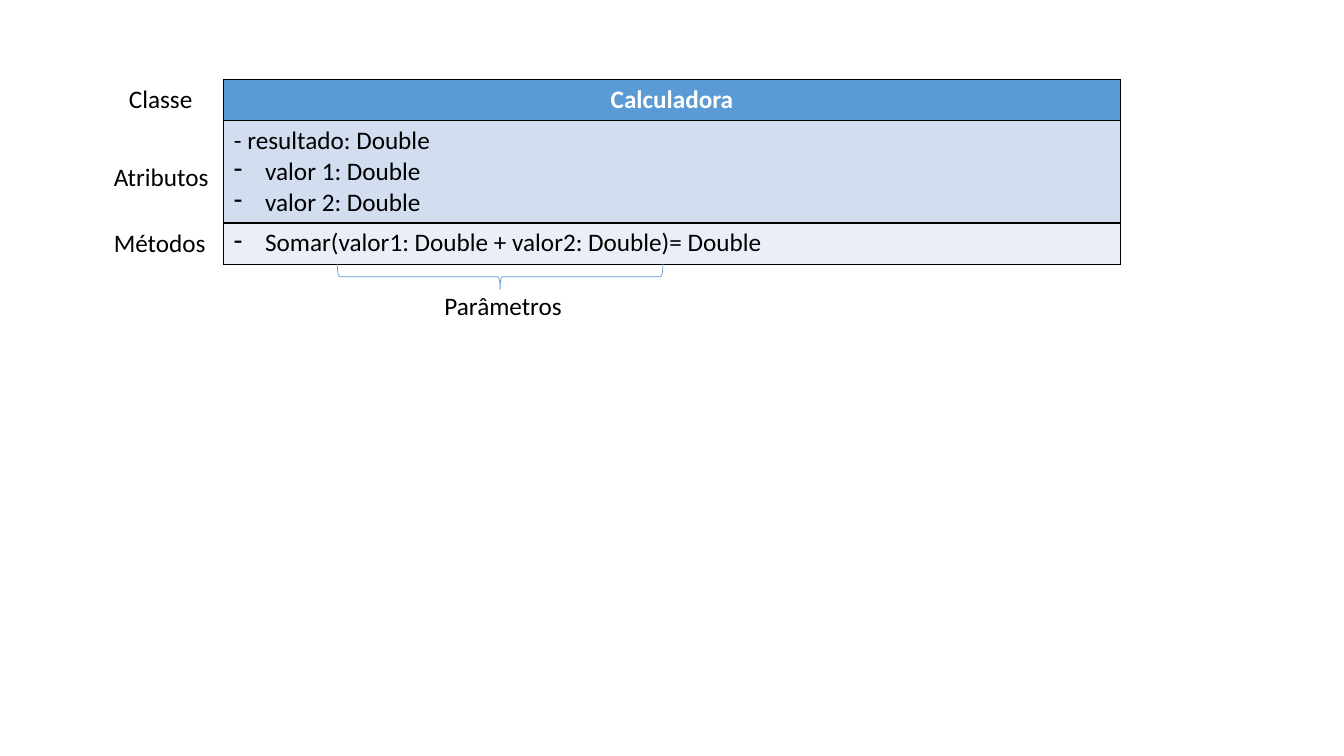
import pptx
import pptx.dml.color
import pptx.enum.shapes
import pptx.enum.text
import pptx.oxml
import pptx.oxml.ns
import pptx.util
from pptx.util import Inches

BLACK = pptx.dml.color.RGBColor(0x00, 0x00, 0x00)
WHITE = pptx.dml.color.RGBColor(0xFF, 0xFF, 0xFF)
BLUE = pptx.dml.color.RGBColor(0x5B, 0x9B, 0xD5)
LIGHT_BLUE = pptx.dml.color.RGBColor(0xD2, 0xDE, 0xEF)
PALE_BLUE = pptx.dml.color.RGBColor(0xEA, 0xEF, 0xF7)

TITLE = "Calculadora"
ATTRIBUTES = [("- resultado: Double", False), ("valor 1: Double", True), ("valor 2: Double", True)]
METHODS = [("Somar(valor1: Double + valor2: Double)= Double", True)]
LABELS = [
    ("Parâmetros", 4.31, 2.83, 1.38),
    ("Métodos", 1.03, 2.21, 1.12),
    ("Atributos ", 1.03, 1.55, 1.21),
    ("Classe ", 1.18, 0.78, 0.9),
]


def add_run(paragraph, text, color=BLACK, bold=False):
    run = paragraph.add_run()
    run.text = text
    run.font.name = "Calibri"
    run.font.size = pptx.util.Pt(18)
    run.font.bold = bold
    run.font.color.rgb = color


def add_dash(paragraph):
    properties = paragraph._p.get_or_add_pPr()
    properties.set("marL", str(Inches(0.31)))
    properties.set("indent", str(Inches(-0.31)))
    bullet = pptx.oxml.parse_xml(f'<a:buChar {pptx.oxml.ns.nsdecls("a")} char="-"/>')
    properties.append(bullet)


def style_cell(cell, color):
    cell.fill.solid()
    cell.fill.fore_color.rgb = color
    properties = cell._tc.get_or_add_tcPr()
    for index, side in enumerate("LRTB"):
        border = pptx.oxml.parse_xml(
            f'<a:ln{side} {pptx.oxml.ns.nsdecls("a")} w="{pptx.util.Pt(1)}">'
            f'<a:solidFill><a:srgbClr val="{BLACK}"/></a:solidFill></a:ln{side}>'
        )
        properties.insert(index, border)


def fill_members(cell, members):
    for index, (text, dashed) in enumerate(members):
        frame = cell.text_frame
        paragraph = frame.add_paragraph() if index else frame.paragraphs[0]
        if dashed:
            add_dash(paragraph)
        add_run(paragraph, text)


def add_class_table(slide):
    frame = slide.shapes.add_table(3, 1, Inches(2.22), Inches(0.79), Inches(8.89), Inches(1.82))
    table = frame.table
    for row, height in zip(table.rows, (0.4, 1.01, 0.41)):
        row.height = Inches(height)
    header, attributes, methods = (row.cells[0] for row in table.rows)
    for cell, color in ((header, BLUE), (attributes, LIGHT_BLUE), (methods, PALE_BLUE)):
        style_cell(cell, color)
    paragraph = header.text_frame.paragraphs[0]
    paragraph.alignment = pptx.enum.text.PP_ALIGN.CENTER
    add_run(paragraph, TITLE, WHITE, True)
    fill_members(attributes, ATTRIBUTES)
    fill_members(methods, METHODS)


def add_label(slide, text, left, top, width):
    box = slide.shapes.add_textbox(Inches(left), Inches(top), Inches(width), Inches(0.4))
    box.text_frame.word_wrap = False
    box.text_frame.auto_size = pptx.enum.text.MSO_AUTO_SIZE.SHAPE_TO_FIT_TEXT
    add_run(box.text_frame.paragraphs[0], text)


def add_parameter_brace(slide):
    brace = slide.shapes.add_shape(
        pptx.enum.shapes.MSO_SHAPE.RIGHT_BRACE,
        Inches(4.83), Inches(1.13), Inches(0.26), Inches(3.23),
    )
    brace.rotation = 90
    brace.shadow.inherit = False
    brace.fill.background()
    brace.line.color.rgb = BLUE
    brace.line.width = pptx.util.Pt(0.5)


def main():
    presentation = pptx.Presentation()
    presentation.slide_width = Inches(13.33)
    presentation.slide_height = Inches(7.5)
    slide = presentation.slides.add_slide(presentation.slide_layouts[6])
    add_class_table(slide)
    for label in LABELS:
        add_label(slide, *label)
    add_parameter_brace(slide)
    presentation.save("out.pptx")


main()
